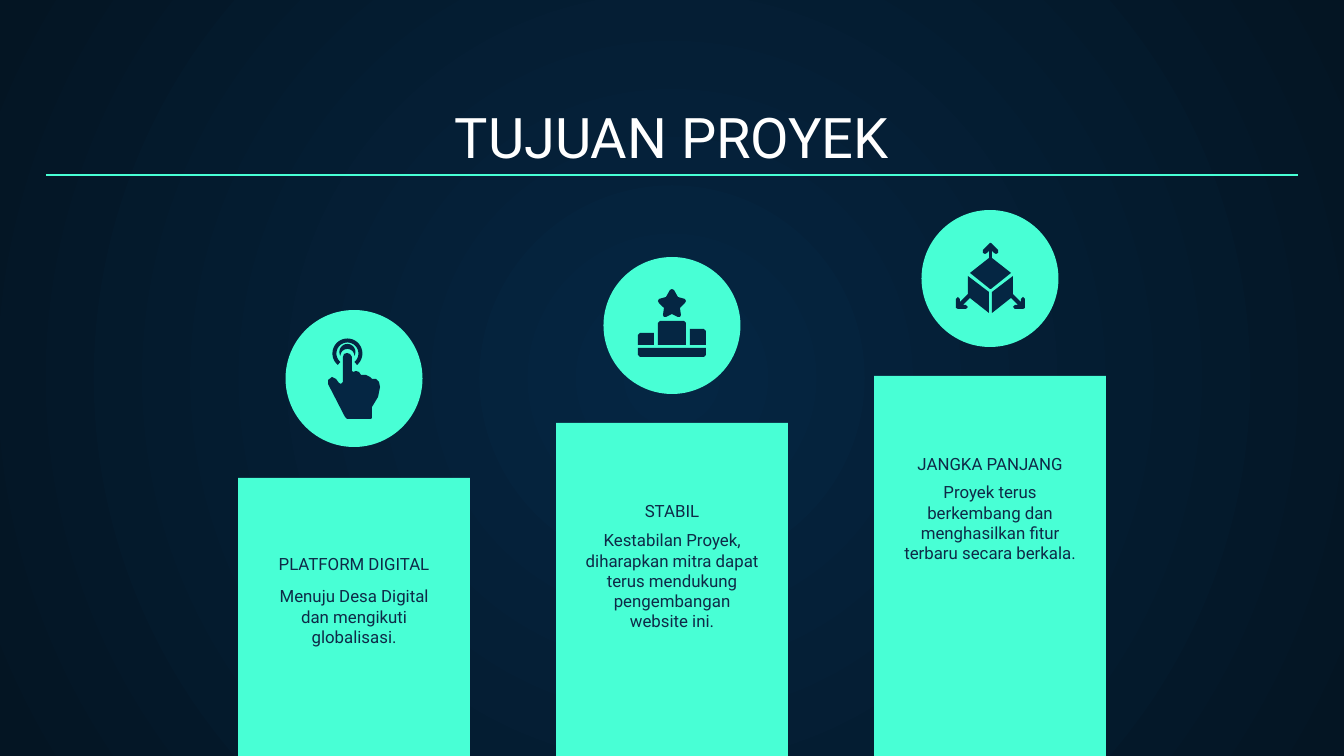
import math

from lxml import etree
from pptx import Presentation
from pptx.dml.color import RGBColor
from pptx.enum.shapes import MSO_CONNECTOR, MSO_SHAPE
from pptx.enum.text import MSO_ANCHOR, PP_ALIGN
from pptx.oxml.ns import qn
from pptx.util import Emu, Pt

RECTANGLE = MSO_SHAPE.RECTANGLE
OVAL = MSO_SHAPE.OVAL
STRAIGHT = MSO_CONNECTOR.STRAIGHT
TOP = MSO_ANCHOR.TOP
BOTTOM = MSO_ANCHOR.BOTTOM
CENTER = PP_ALIGN.CENTER

EMU_PER_PX = 914400 / 134.4
WIDTH, HEIGHT = 1344, 756
FONT = "Roboto"
MINT, NAVY, NIGHT, INK, WHITE = "48FFD5", "052643", "041523", "0E2A47", "FFFFFF"

FIRST_LEFT, PITCH, BAR_WIDTH = 238, 318, 232
DISC, HEADING_WIDTH, BODY_WIDTH = 137, 305, 204

COLUMNS = [
    (478, 310, 556, 573, "PLATFORM DIGITAL",
     "Menuju Desa Digital dan mengikuti globalisasi."),
    (423, 257, 503, 517, "STABIL",
     "Kestabilan Proyek, diharapkan mitra dapat terus mendukung pengembangan website ini."),
    (376, 210, 456, 469, "JANGKA PANJANG",
     "Proyek terus berkembang dan menghasilkan fitur terbaru secara berkala."),
]

HAND = [
    (347, 353), (344, 354), (343, 357), (343, 382), (341, 384), (339, 383),
    (336, 379), (332, 377), (328, 380), (328, 384), (345, 417), (347, 419),
    (371, 419), (372, 418), (372, 407), (378, 397), (380, 387), (379, 382),
    (376, 379), (372, 379), (370, 377), (366, 375), (361, 375), (359, 372),
    (356, 371), (353, 372), (352, 371), (352, 357), (350, 354),
]
STAR_HALF = [
    (672, 289), (674, 290), (678, 297), (685, 299), (686, 301), (685, 303),
    (680, 308), (681, 315), (680, 317), (678, 317), (672, 314),
]
PODIUM = [
    [(638, 345), (638, 335), (640, 333), (654, 333), (654, 345)],
    [(658, 345), (658, 323), (660, 321), (684, 321), (686, 323), (686, 345)],
    [(690, 345), (690, 329), (704, 329), (706, 331), (706, 345)],
    [(638, 348), (706, 348), (706, 355), (704, 357), (640, 357), (638, 355)],
]
CUBE_TOP_HALF = [
    (991, 243), (992, 244), (998, 250), (998, 253), (996, 254), (994, 253),
    (992, 251), (992, 258), (1011, 273), (991, 289),
]
CUBE_SIDE = [
    (1013, 276), (992, 292), (992, 313), (1011, 298), (1018, 305), (1015, 305),
    (1013, 307), (1015, 309), (1023, 309), (1025, 308), (1025, 299),
    (1023, 297), (1021, 299), (1021, 302), (1013, 294),
]


def px(length):
    return Emu(round(length * EMU_PER_PX))


def color(value):
    return RGBColor.from_string(value)


def paint(shape, fill):
    shape.shadow.inherit = False
    shape.fill.solid()
    shape.fill.fore_color.rgb = color(fill)
    shape.line.fill.background()


def add_block(page, kind, left, top, width, height):
    paint(page.shapes.add_shape(kind, px(left), px(top), px(width), px(height)), MINT)


def add_outline(page, points):
    start, *rest = [(px(x), px(y)) for x, y in points]
    builder = page.shapes.build_freeform(*start, scale=1.0)
    builder.add_line_segments(rest, close=True)
    paint(builder.convert_to_shape(), NAVY)


def add_text(page, text, left, top, width, height, *, size=9, fill=INK, anchor=TOP):
    box = page.shapes.add_textbox(px(left), px(top), px(width), px(height))
    frame = box.text_frame
    frame.word_wrap = True
    frame.vertical_anchor = anchor
    frame.margin_left = frame.margin_right = px(13)
    frame.margin_top = frame.margin_bottom = px(13)
    para = frame.paragraphs[0]
    para.alignment = CENTER
    span = para.add_run()
    span.text = text
    span.font.name = FONT
    span.font.size = Pt(size)
    span.font.color.rgb = color(fill)


def add_rule(page, left, right, y):
    rule = page.shapes.add_connector(STRAIGHT, px(left), px(y), px(right), px(y))
    rule.line.color.rgb = color(MINT)
    rule.line.width = Pt(0.75)
    etree.SubElement(rule._element.spPr, qn("a:effectLst"))


def set_background(page):
    fill = page.background.fill
    fill.gradient()
    for stop, shade in zip(fill.gradient_stops, (NAVY, NIGHT)):
        stop.color.rgb = color(shade)
    gradient = page.element.find(".//" + qn("a:gradFill"))
    gradient.remove(gradient.find(qn("a:lin")))
    circle = etree.SubElement(gradient, qn("a:path"), {"path": "circle"})
    etree.SubElement(circle, qn("a:fillToRect"), dict.fromkeys("ltrb", "50000"))


def mirror(points, axis):
    return [(2 * axis - x, y) for x, y in reversed(points)]


def arc(x, y, radius, start, end, steps=32):
    angles = [math.radians(start + (end - start) * i / steps) for i in range(steps + 1)]
    return [(x + radius * math.cos(a), y + radius * math.sin(a)) for a in angles]


def add_touch_icon(page):
    add_outline(page, arc(347.5, 353.5, 15, 130, 410) + arc(347.5, 353.5, 11, 410, 130))
    add_outline(page, arc(347.5, 352, 8, 155, 385) + arc(347.5, 356, 7, 360, 180))
    add_outline(page, HAND)


def add_podium_icon(page):
    add_outline(page, STAR_HALF + mirror(STAR_HALF, 672))
    for step in PODIUM:
        add_outline(page, step)


def add_cube_icon(page):
    axis = 990.5
    add_outline(page, CUBE_TOP_HALF + mirror(CUBE_TOP_HALF, axis))
    add_outline(page, CUBE_SIDE)
    add_outline(page, mirror(CUBE_SIDE, axis))


def add_column(page, index, bar_top, disc_top, heading_top, body_top, heading, body):
    left = FIRST_LEFT + index * PITCH
    middle = left + BAR_WIDTH / 2
    add_block(page, RECTANGLE, left, bar_top, BAR_WIDTH, HEIGHT - bar_top)
    add_block(page, OVAL, middle - DISC / 2, disc_top, DISC, DISC)
    add_text(page, heading, middle - HEADING_WIDTH / 2, heading_top,
             HEADING_WIDTH, 28, anchor=BOTTOM)
    add_text(page, body, middle - BODY_WIDTH / 2, body_top, BODY_WIDTH, 74)


def main():
    deck = Presentation()
    deck.slide_width, deck.slide_height = px(WIDTH), px(HEIGHT)
    page = deck.slides.add_slide(deck.slide_layouts[6])
    set_background(page)
    add_text(page, "TUJUAN PROYEK", 46, 94, 1252, 89, size=30, fill=WHITE, anchor=BOTTOM)
    add_rule(page, 46, 1298, 175)
    for index, column in enumerate(COLUMNS):
        add_column(page, index, *column)
    add_touch_icon(page)
    add_podium_icon(page)
    add_cube_icon(page)
    deck.save("out.pptx")


if __name__ == "__main__":
    main()
